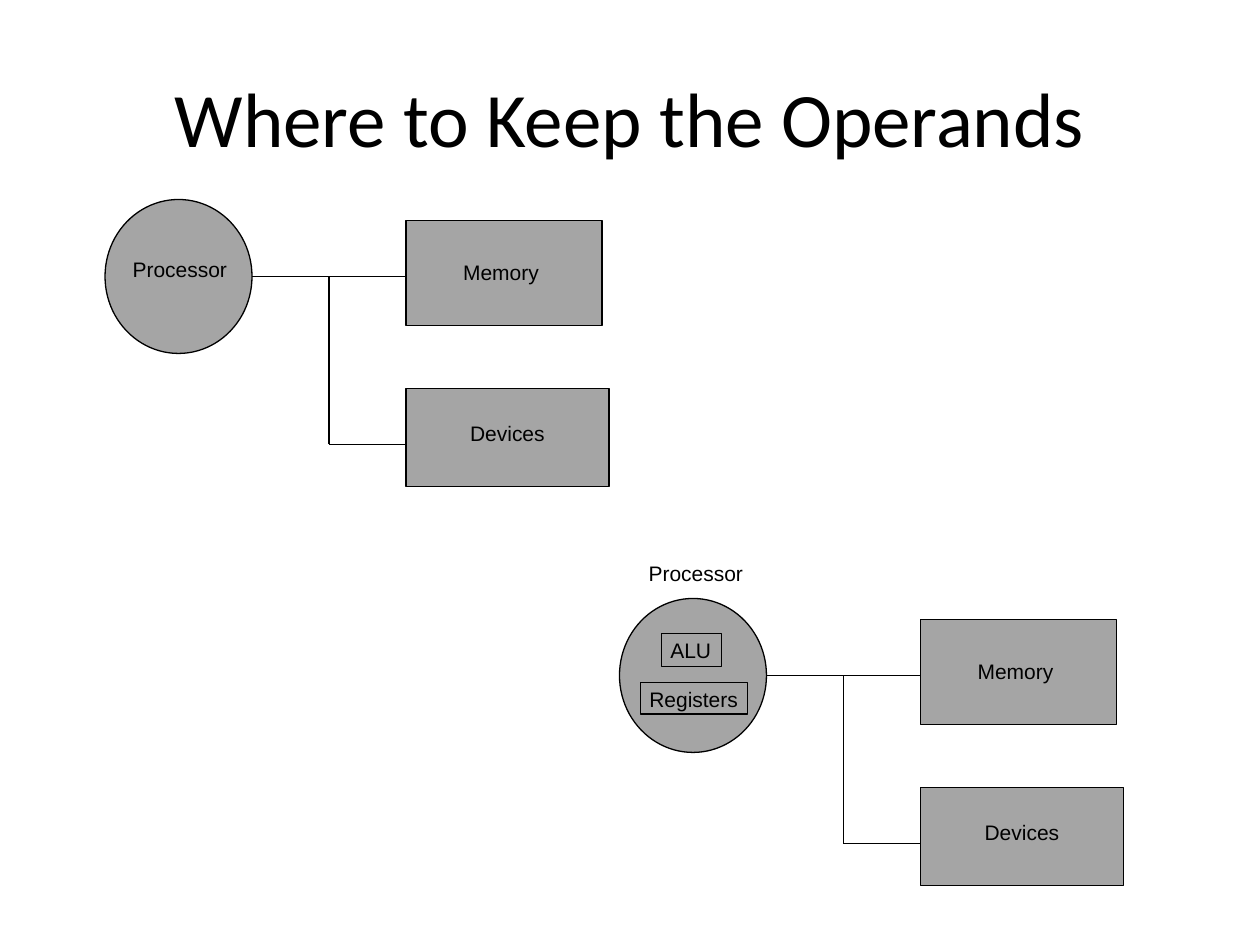
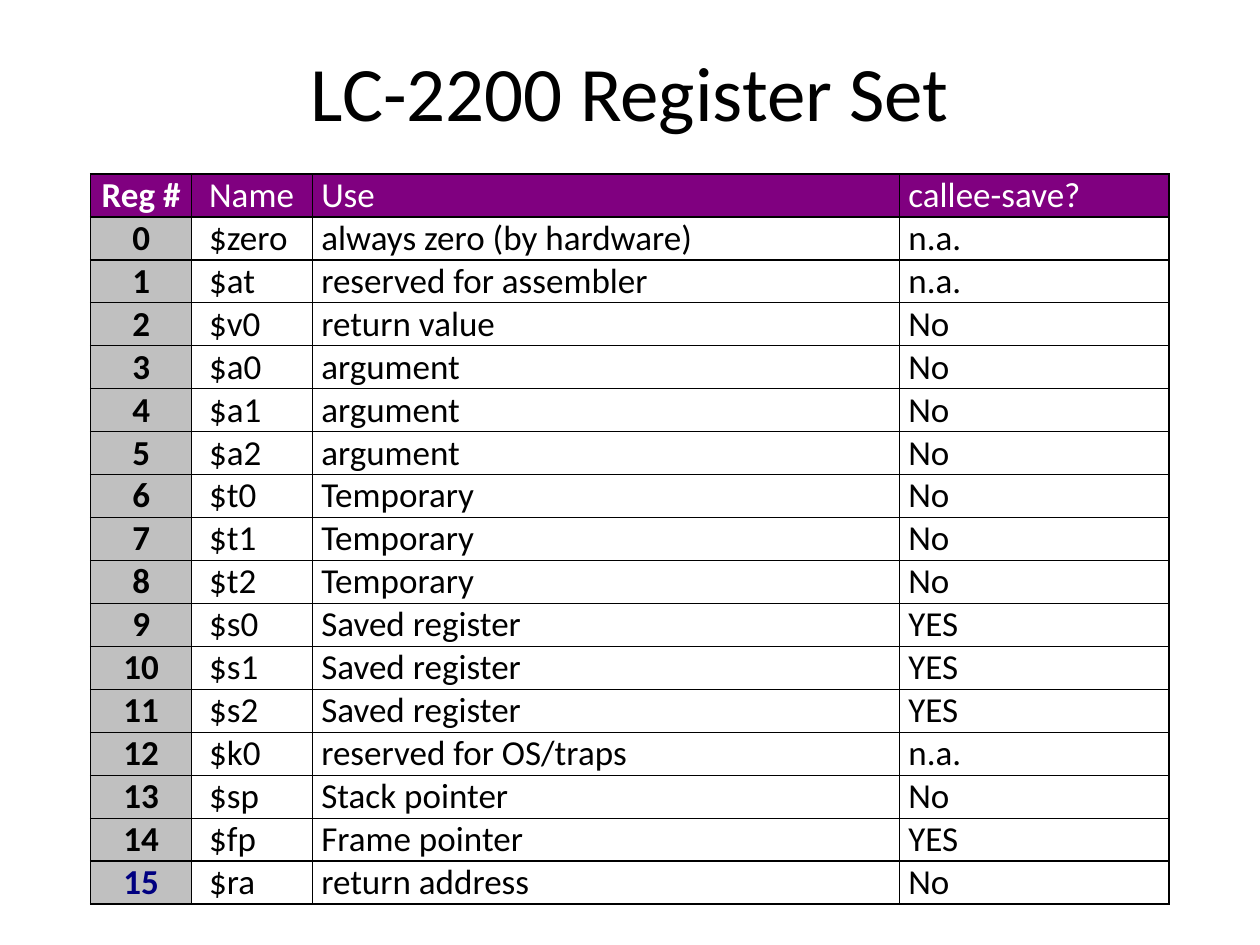
"""Builds two slides on operands and the LC-2200 register set."""
from lxml import etree
from pptx import Presentation
from pptx import util as u
from pptx.dml.color import RGBColor
from pptx.enum import shapes, text
from pptx.oxml import ns

BLACK = RGBColor(0, 0, 0)
WHITE = RGBColor(255, 255, 255)
GREY = RGBColor(0xA5, 0xA5, 0xA5)
SILVER = RGBColor(0xC0, 0xC0, 0xC0)
PURPLE = RGBColor(0x80, 0, 0x80)
NAVY = RGBColor(0, 0, 0x80)

HEADING_FONT, LABEL_FONT = "Calibri", "Arial"
UNIT = u.Inches(1) / 18  # grid step of the diagrams
LEFT, CENTER = text.PP_ALIGN.LEFT, text.PP_ALIGN.CENTER
RECTANGLE, OVAL = shapes.MSO_SHAPE.RECTANGLE, shapes.MSO_SHAPE.OVAL

COLUMN_WIDTHS = (0.8, 0.96, 4.66, 2.14)
TABLE_HEIGHT = 5.8
HEADER = ("Reg #", "Name", "Use", "callee-save?")
REGISTERS = (
    ("$zero", "always zero (by hardware)", "n.a."),
    ("$at", "reserved for assembler", "n.a."),
    ("$v0", "return value", "No"),
    ("$a0", "argument", "No"),
    ("$a1", "argument", "No"),
    ("$a2", "argument", "No"),
    ("$t0", "Temporary", "No"),
    ("$t1", "Temporary", "No"),
    ("$t2", "Temporary", "No"),
    ("$s0", "Saved register", "YES"),
    ("$s1", "Saved register", "YES"),
    ("$s2", "Saved register", "YES"),
    ("$k0", "reserved for OS/traps", "n.a."),
    ("$sp", "Stack pointer", "No"),
    ("$fp", "Frame pointer", "YES"),
    ("$ra", "return address", "No"),
)


def write(frame, words, size, font, color=BLACK, align=LEFT, bold=False):
    """Put one formatted paragraph into a text frame."""
    frame.text = words
    para = frame.paragraphs[0]
    para.alignment = align
    for span in para.runs:
        span.font.size = u.Pt(size)
        span.font.name = font
        span.font.bold = bold
        span.font.color.rgb = color


def add_title(page, words, height):
    """Add the centred slide title."""
    box = page.shapes.add_textbox(
        u.Inches(0.5), u.Inches(0.3), u.Inches(9), u.Inches(height))
    box.text_frame.word_wrap = True
    box.text_frame.vertical_anchor = text.MSO_ANCHOR.MIDDLE
    write(box.text_frame, words, 44, HEADING_FONT, align=CENTER)


def on_grid(origin, *lengths):
    """Turn grid columns and rows, x and y in turn, into slide lengths."""
    return [u.Emu(round((length + (origin[i] if i < 2 else 0)) * UNIT))
            for i, length in enumerate(lengths)]


def add_block(group, origin, kind, area, fill=GREY):
    """Add an outlined shape, unfilled when fill is None."""
    block = group.shapes.add_shape(kind, *on_grid(origin, *area))
    block.shadow.inherit = False
    if fill is None:
        block.fill.background()
    else:
        block.fill.solid()
        block.fill.fore_color.rgb = fill
    block.line.color.rgb = BLACK
    block.line.width = u.Pt(0.75)
    return block


def set_label(box, words, align=LEFT):
    """Write a small diagram label with tight margins."""
    frame = box.text_frame
    frame.margin_left = frame.margin_right = u.Inches(0.07)
    frame.margin_top = frame.margin_bottom = u.Inches(0.03)
    frame.vertical_anchor = text.MSO_ANCHOR.TOP
    frame.word_wrap = False
    write(frame, words, 12, LABEL_FONT, align=align)


def add_label(group, origin, words, area, align=LEFT):
    """Add a free-standing label."""
    set_label(group.shapes.add_textbox(*on_grid(origin, *area)), words, align)


def add_wire(group, origin, start, end):
    """Add a straight line between two grid points."""
    wire = group.shapes.add_connector(
        shapes.MSO_CONNECTOR.STRAIGHT,
        *on_grid(origin, *start), *on_grid(origin, *end))
    wire.line.color.rgb = BLACK
    wire.line.width = u.Pt(0.75)
    etree.SubElement(wire._element.spPr, ns.qn("a:effectLst"))


def add_computer(page, origin, processor_spot, processor_align, parts=()):
    """Add a processor wired to memory and devices, with its inner parts."""
    group = page.shapes.add_group_shape()
    add_block(group, origin, OVAL, (0, 0, 21, 22))
    add_block(group, origin, RECTANGLE, (43, 3, 28, 15))
    add_block(group, origin, RECTANGLE, (43, 27, 29, 14))
    add_label(group, origin, "Processor", (*processor_spot, 16.4, 4.6),
              processor_align)
    add_label(group, origin, "Memory", (49.9, 8, 14, 4.6))
    add_label(group, origin, "Devices", (50.9, 31, 13.4, 4.6))
    for start, end in (((21, 11), (43, 11)), ((32, 11), (32, 35)),
                       ((32, 35), (43, 35))):
        add_wire(group, origin, start, end)
    for words, area in parts:
        set_label(add_block(group, origin, RECTANGLE, area, None), words)


def add_cell_borders(cell):
    """Draw a thin black line on all four sides of a cell."""
    properties = cell._tc.get_or_add_tcPr()
    for index, side in enumerate(("lnL", "lnR", "lnT", "lnB")):
        line = etree.Element(ns.qn("a:" + side), w=str(u.Pt(1)))
        fill = etree.SubElement(line, ns.qn("a:solidFill"))
        etree.SubElement(fill, ns.qn("a:srgbClr"), val=str(BLACK))
        properties.insert(index, line)


def fill_cell(cell, words, row, column):
    """Write and style one cell by its place in the register table."""
    is_header, is_number = row == 0, column == 0
    cell.margin_left = u.Inches(0.14 if column == 1 else 0.07)
    cell.margin_right = u.Inches(0.07)
    cell.margin_top = cell.margin_bottom = 0
    if is_header or is_number:
        cell.fill.solid()
        cell.fill.fore_color.rgb = PURPLE if is_header else SILVER
    else:
        cell.fill.background()
    is_last_number = is_number and row == len(REGISTERS)
    color = WHITE if is_header else NAVY if is_last_number else BLACK
    write(cell.text_frame, words, 20, HEADING_FONT, color,
          CENTER if is_number else LEFT, is_number)
    add_cell_borders(cell)


def add_register_table(page):
    """Add the table of registers, numbered from zero."""
    rows = [HEADER] + [(str(i), *entry) for i, entry in enumerate(REGISTERS)]
    table = page.shapes.add_table(
        len(rows), len(HEADER), u.Inches(0.72), u.Inches(1.38),
        u.Inches(sum(COLUMN_WIDTHS)), u.Inches(TABLE_HEIGHT)).table
    for column, width in zip(table.columns, COLUMN_WIDTHS):
        column.width = u.Inches(width)
    for r, entry in enumerate(rows):
        for c, words in enumerate(entry):
            fill_cell(table.cell(r, c), words, r, c)


def main():
    """Build and save the deck."""
    deck = Presentation()
    deck.slide_width, deck.slide_height = u.Inches(10), u.Inches(7.5)
    blank = deck.slide_layouts[6]

    page = deck.slides.add_slide(blank)
    add_title(page, "Where to Keep the Operands", 1.25)
    add_computer(page, (15, 28.5), (2.5, 7.6), CENTER)
    add_computer(page, (88.5, 85.5), (2.9, -6), LEFT,
                 (("ALU", (6, 5, 8.6, 4.7)),
                  ("Registers", (3, 12, 15.3, 4.5))))

    page = deck.slides.add_slide(blank)
    add_title(page, "LC-2200 Register Set", 0.84)
    add_register_table(page)

    deck.save("out.pptx")


main()
